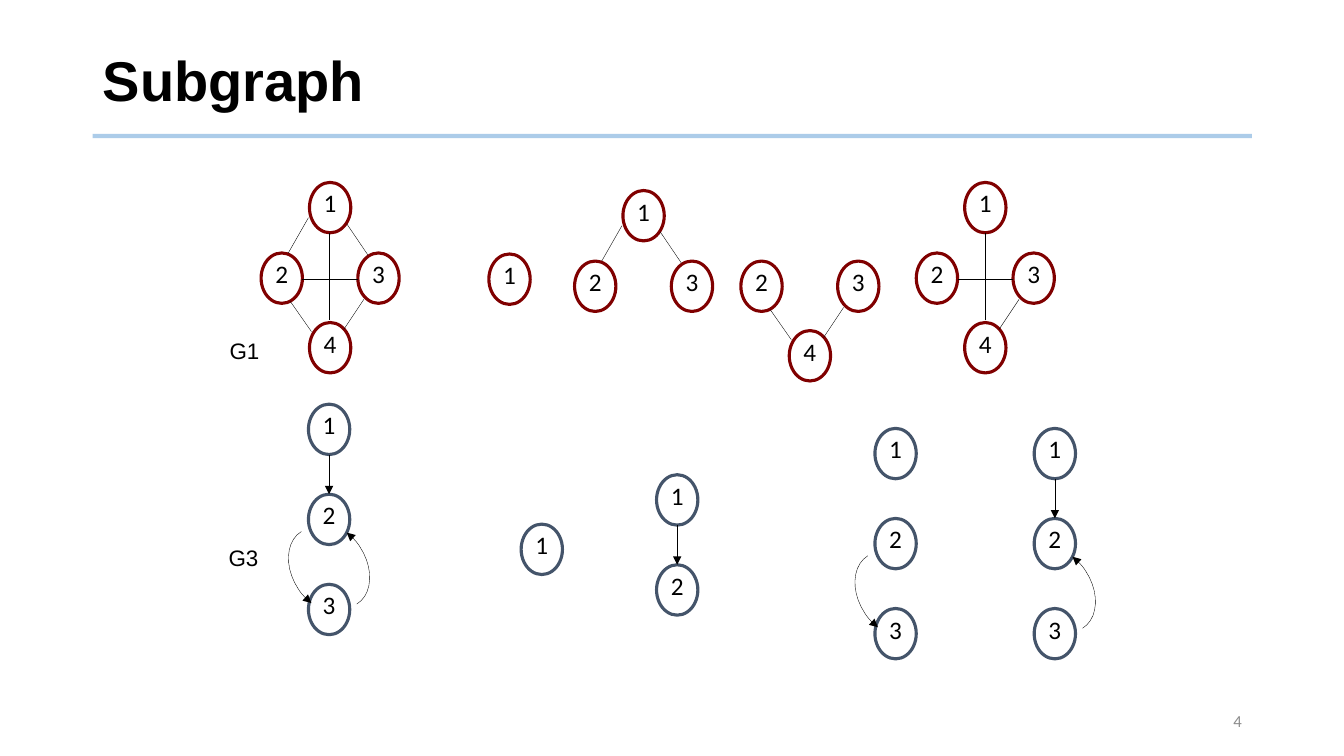
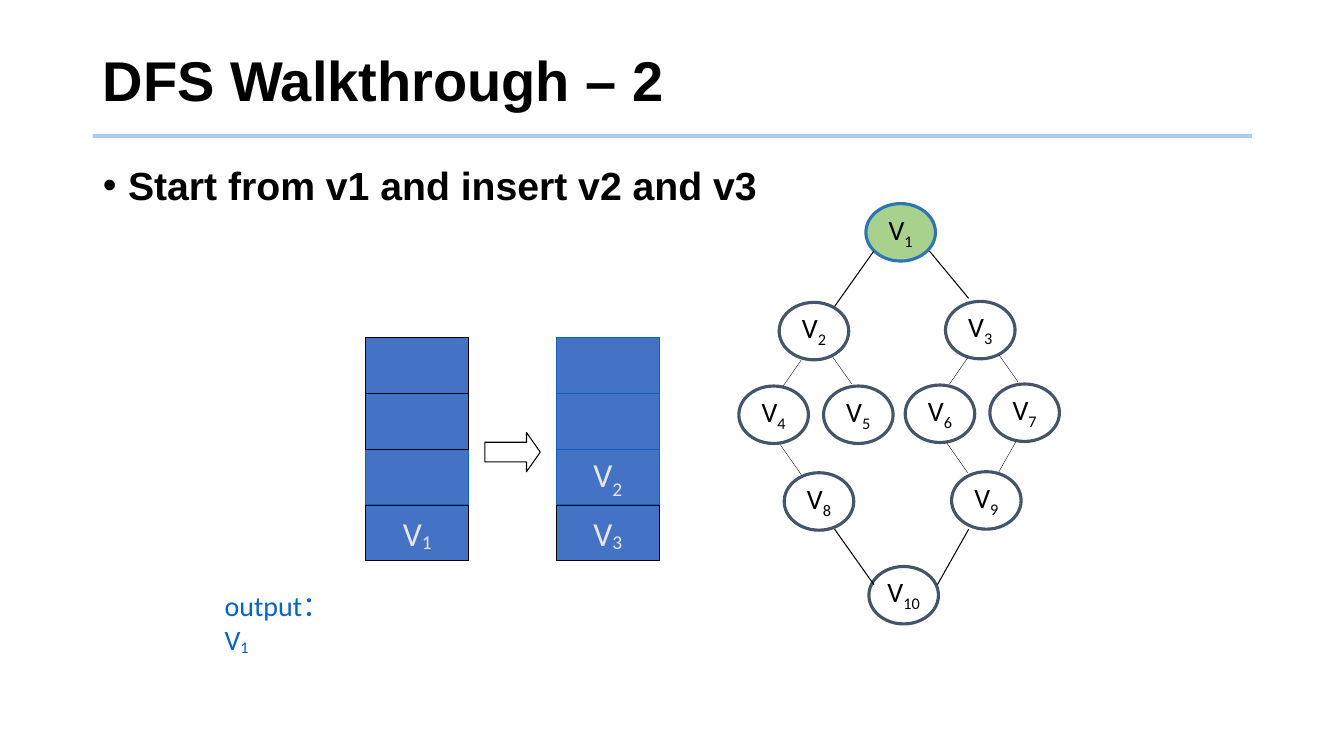
from lxml.etree import SubElement
from pptx import Presentation
from pptx.dml.color import RGBColor as Color
from pptx.enum.shapes import MSO_CONNECTOR as Link, MSO_SHAPE as Kind
from pptx.enum.text import MSO_ANCHOR as Anchor, PP_ALIGN as Align
from pptx.oxml.ns import qn
from pptx.util import Inches, Pt

deck = Presentation()
deck.slide_width, deck.slide_height = Inches(40 / 3), Inches(7.5)
CELL = deck.slide_width / 40


class Theme:
    black, blue, maroon, slate = "000000", "0563C1", "800000", "44546A"
    rule = ("5B9BD5", 3)
    hairline = (black, 0.25)
    thin = (black, 0.75)
    flush = dict.fromkeys(("margin_left", "margin_right", "margin_top", "margin_bottom"), 0)
    middle = {"vertical_anchor": Anchor.MIDDLE, "word_wrap": True}
    top = {"vertical_anchor": Anchor.TOP, "word_wrap": True}
    title = {
        "frame": middle,
        "para": {"alignment": Align.LEFT, "line_spacing": 0.9},
        "font": {"name": "Arial", "size": Pt(40), "bold": True},
        "color": black,
    }
    bullet = {
        "frame": top,
        "para": {"line_spacing": 0.9, "space_before": Pt(10)},
        "font": {"name": "Arial", "size": Pt(28), "bold": True},
        "color": black,
    }
    label = {"frame": middle, "font": {"name": "Arial", "size": Pt(16)}, "color": black}
    number = {
        "frame": middle,
        "para": {"alignment": Align.RIGHT},
        "font": {"name": "Calibri", "size": Pt(12)},
        "color": "8C8C8C",
    }
    node = {
        "frame": {**top, **flush},
        "para": {"alignment": Align.CENTER, "line_spacing": 0.96},
        "font": {"name": "Calibri", "size": Pt(18)},
        "color": black,
        "line": (slate, 2.25),
    }
    red_node = {**node, "line": (maroon, 2.25)}
    tree_node = {**node, "font": {"name": "Calibri", "size": Pt(20)}}
    visited_node = {**tree_node, "fill": "A9D18E", "line": ("2E75B6", 2.25)}
    slot = {
        "frame": middle,
        "para": {"alignment": Align.CENTER},
        "font": {"name": "Calibri", "size": Pt(24)},
        "color": "E7E6E6",
        "fill": "4472C4",
        "line": thin,
    }
    blue_slot = {**slot, "line": (blue, 0.75)}
    output = {"frame": top, "font": {"name": "Calibri", "size": Pt(20)}, "color": blue}
    block_arrow = {"line": thin}


def stroke(shape, color, width, arrow=False):
    shape.line.color.rgb = Color.from_string(color)
    shape.line.width = Pt(width)
    outline = shape.element.spPr.find(qn("a:ln"))
    if arrow:
        SubElement(outline, qn("a:tailEnd"), type="triangle")
    SubElement(shape.element.spPr, qn("a:effectLst"))


def dress(shape, box, style, text="", sub="", drop=-25):
    sides = ("left", "top", "width", "height")
    for side, cells in zip(sides, box):
        setattr(shape, side, round(cells * CELL))
    if "line" in style:
        if "fill" in style:
            shape.fill.solid()
            shape.fill.fore_color.rgb = Color.from_string(style["fill"])
        else:
            shape.fill.background()
        stroke(shape, *style["line"])
    if not text:
        return
    frame = shape.text_frame
    para = frame.paragraphs[0]
    formats = [(frame, style["frame"]), (para, style.get("para", {}))]
    for part in filter(None, (text, sub)):
        span = para.add_run()
        span.text = part
        span.font.color.rgb = Color.from_string(style["color"])
        formats.append((span.font, style["font"]))
    if sub:
        span._r.get_or_add_rPr().set("baseline", str(drop * 1000))
    for target, values in formats:
        for name, value in values.items():
            setattr(target, name, value)


subgraph = deck.slides.add_slide(deck.slide_layouts[5])
walkthrough = deck.slides.add_slide(deck.slide_layouts[1])
for page, heading in ((subgraph, "Subgraph"), (walkthrough, "DFS Walkthrough – 2")):
    dress(page.shapes.title, (2.76, 0.84, 34.5, 3.3), Theme.title, heading)

rule_ends = [round(v * CELL) for v in (2.76, 4.05, 37.26, 4.05)]
rule = subgraph.shapes.add_connector(Link.STRAIGHT, *rule_ends)
stroke(rule, *Theme.rule)
SubElement(next(rule.element.iter(qn("a:srgbClr"))), qn("a:alpha"), val="50000")
rule.element.nvCxnSpPr.cNvPr.id = 20
deck.slide_master.shapes.element.append(rule.element)

NODE_WIDTH, NODE_HEIGHT = 1.23, 1.5
diamond_nodes = {"1": (1.44, 0), "2": (0, 2.1), "3": (2.88, 2.1), "4": (1.44, 4.17)}
diamond_edges = {
    "12": (0.81, 2.1, 1.41, 1.05),
    "13": (2.55, 1.23, 3.18, 2.16),
    "14": (2.04, 1.5, 2.04, 4.08),
    "23": (1.23, 2.88, 2.88, 2.88),
    "24": (0.87, 3.54, 1.5, 4.44),
    "34": (2.46, 4.38, 3.06, 3.48),
}
diamonds = [
    (7.77, 5.43, "1234", "12 13 14 23 24 34"),
    (13.11, 7.56, "1", ""),
    (17.1, 5.67, "123", "12 13"),
    (22.05, 5.67, "234", "24 34"),
    (27.27, 5.43, "1234", "14 23 34"),
]
for left, top, names, edges in diamonds:
    for name in names:
        x, y = diamond_nodes[name]
        node = subgraph.shapes.add_shape(Kind.OVAL, 0, 0, 0, 0)
        dress(node, (left + x, top + y, NODE_WIDTH, NODE_HEIGHT), Theme.red_node, name)
    for edge in edges.split():
        x1, y1, x2, y2 = diamond_edges[edge]
        ends = [round(v * CELL) for v in (left + x1, top + y1, left + x2, top + y2)]
        stroke(subgraph.shapes.add_connector(Link.STRAIGHT, *ends), *Theme.hairline)

CHAIN_STEP = 2.68
bends = [
    [(-0.21, 1.11), (-0.69, 1.41), (-0.72, 2.19), (-0.3, 2.82)],
    [(-0.3, 2.82), (-0.21, 2.97), (-0.06, 3.12), (0.09, 3.24)],
]
steps = [step / 10 for step in range(11)]
down_curve = [
    [sum(w * p[axis] for w, p in zip(((1 - t) ** 3, 3 * t * (1 - t) ** 2, 3 * t * t * (1 - t), t ** 3), bend))
     for axis in (0, 1)]
    for bend in bends for t in steps
]
curves = {"23": down_curve, "32": [(NODE_WIDTH - x, 4.38 - y) for x, y in down_curve]}
chains = [
    (9.18, 12.03, "123", "12 23 32"),
    (15.51, 15.6, "1", ""),
    (19.54, 14.13, "12", "12"),
    (26.04, 12.75, "123", "23"),
    (30.78, 12.75, "123", "12 32"),
]
for left, top, names, edges in chains:
    nodes = []
    for row, name in enumerate(names):
        node = subgraph.shapes.add_shape(Kind.OVAL, 0, 0, 0, 0)
        dress(node, (left, top + row * CHAIN_STEP, NODE_WIDTH, NODE_HEIGHT), Theme.node, name)
        nodes.append(node)
    for edge in edges.split():
        if edge in curves:
            points = [(round((left + x) * CELL), round((top + CHAIN_STEP + y) * CELL)) for x, y in curves[edge]]
            builder = subgraph.shapes.build_freeform(*points[0])
            builder.add_line_segments(points[1:], close=False)
            arrow = builder.convert_to_shape()
            arrow.fill.background()
        else:
            middle = round((left + NODE_WIDTH / 2) * CELL)
            start = round((top + NODE_HEIGHT) * CELL)
            arrow = subgraph.shapes.add_connector(Link.STRAIGHT, middle, start, middle, start)
            arrow.end_connect(nodes[1], 0)
        stroke(arrow, *Theme.hairline, arrow=True)

for box, style, text in (
    ((6.54, 9.87, 1.68, 1.11), Theme.label, "G1"),
    ((6.51, 16.05, 1.68, 1.11), Theme.label, "G3"),
    ((28.26, 20.85, 9, 1.2), Theme.number, "4"),
):
    dress(subgraph.shapes.add_textbox(0, 0, 0, 0), box, style, text)

body = walkthrough.placeholders[1]
dress(body, (2.76, 4.8, 34.5, 15.45), Theme.bullet, "Start from v1 and insert v2 and v3")
bullet_format = body.text_frame.paragraphs[0]._p.get_or_add_pPr()
for name, value in (("marL", Inches(0.25)), ("indent", Inches(-0.25))):
    bullet_format.set(name, str(value))

tree = [
    (25.77, 6.06), (23.19, 9), (28.14, 8.97), (21.99, 11.49), (24.51, 11.49),
    (26.94, 11.46), (29.46, 11.43), (23.34, 14.07), (28.32, 14.04), (25.86, 16.86),
]
for index, (left, top) in enumerate(tree, 1):
    style = Theme.visited_node if index == 1 else Theme.tree_node
    node = walkthrough.shapes.add_shape(Kind.OVAL, 0, 0, 0, 0)
    dress(node, (left, top, 2.07, 1.71), style, "V", str(index))

left_branch = [(23.85, 10.71, 23.31, 11.49), (24.78, 10.62, 25.35, 11.43), (23.22, 13.23, 23.85, 14.13)]
right_branch = [(x1 + 4.95, y1 - 0.06, x2 + 4.95, y2 - 0.06) for x1, y1, x2, y2 in left_branch]
right_branch.append((30.24, 13.14, 29.73, 14.04))
outer_edges = [
    (26.01, 7.47, 24.84, 9.12), (24.84, 15.75, 26.01, 17.4),
    (27.66, 7.47, 28.83, 8.88), (28.83, 15.75, 27.9, 17.4),
]
for edges, line in ((left_branch + right_branch, Theme.hairline), (outer_edges, Theme.thin)):
    for edge in edges:
        ends = [round(v * CELL) for v in edge]
        stroke(walkthrough.shapes.add_connector(Link.STRAIGHT, *ends), *line)

SLOT_WIDTH, SLOT_HEIGHT = 3.06, 1.66
stacks = [
    (10.89, [(Theme.slot, "", 0), (Theme.slot, "", 0), (Theme.blue_slot, "", 0), (Theme.slot, "1", -10)]),
    (16.56, [(Theme.blue_slot, "", 0), (Theme.blue_slot, "", 0), (Theme.blue_slot, "2", -25), (Theme.slot, "3", -10)]),
]
for left, slots in stacks:
    for row, (style, sub, drop) in reversed(list(enumerate(slots))):
        slot = walkthrough.shapes.add_shape(Kind.RECTANGLE, 0, 0, 0, 0)
        box = (left, 10.05 + row * SLOT_HEIGHT, SLOT_WIDTH, SLOT_HEIGHT)
        dress(slot, box, style, "V" if sub else "", sub, drop)

block_arrow = walkthrough.shapes.add_shape(Kind.RIGHT_ARROW, 0, 0, 0, 0)
block_arrow.adjustments[0], block_arrow.adjustments[1] = 0.5, 0.35
dress(block_arrow, (14.43, 12.87, 1.65, 1.17), Theme.block_arrow)

output = walkthrough.shapes.add_textbox(0, 0, 0, 0)
dress(output, (6.39, 17.37, 4.2, 1.32), Theme.output, "output：V", "1", -10)

deck.save("out.pptx")
